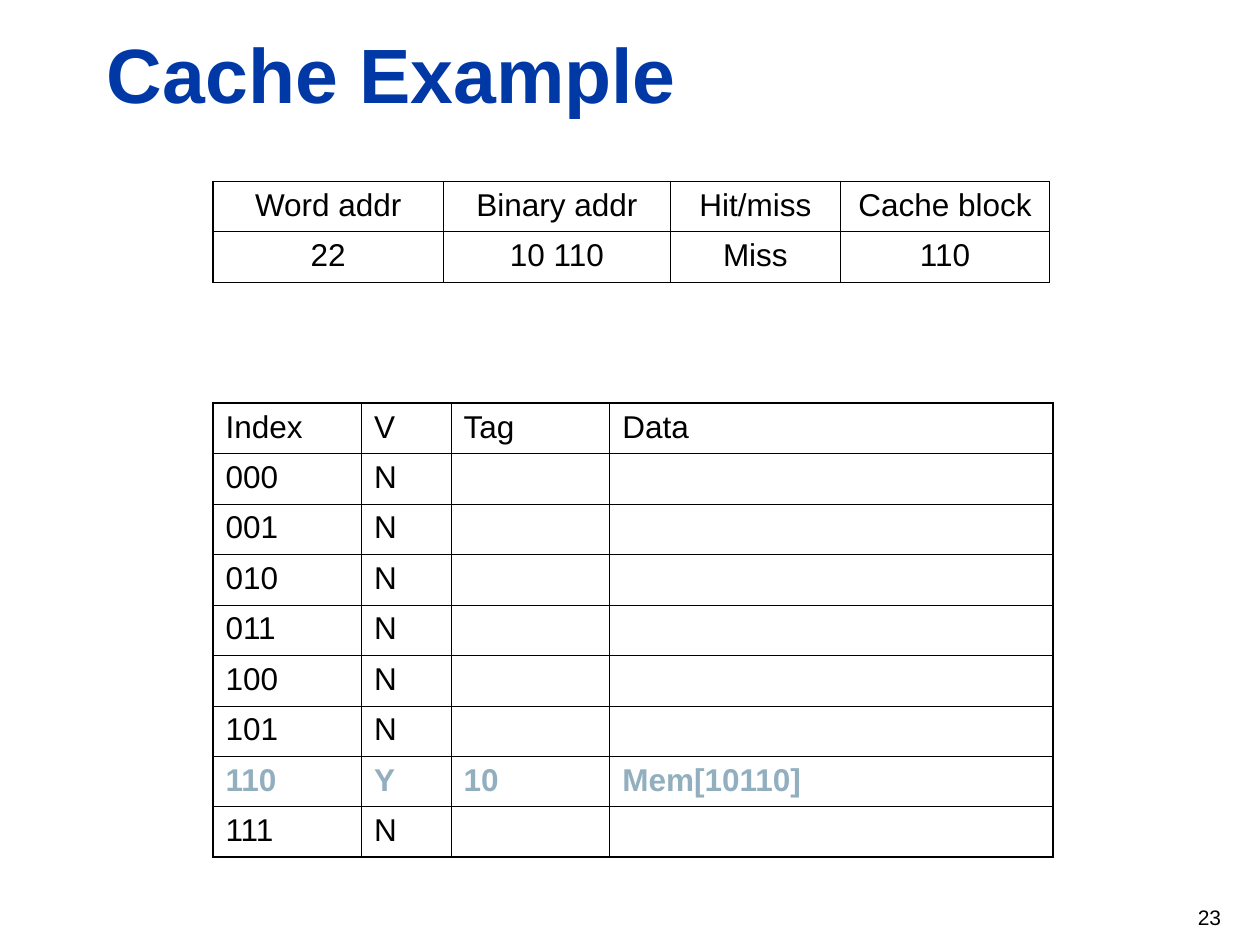
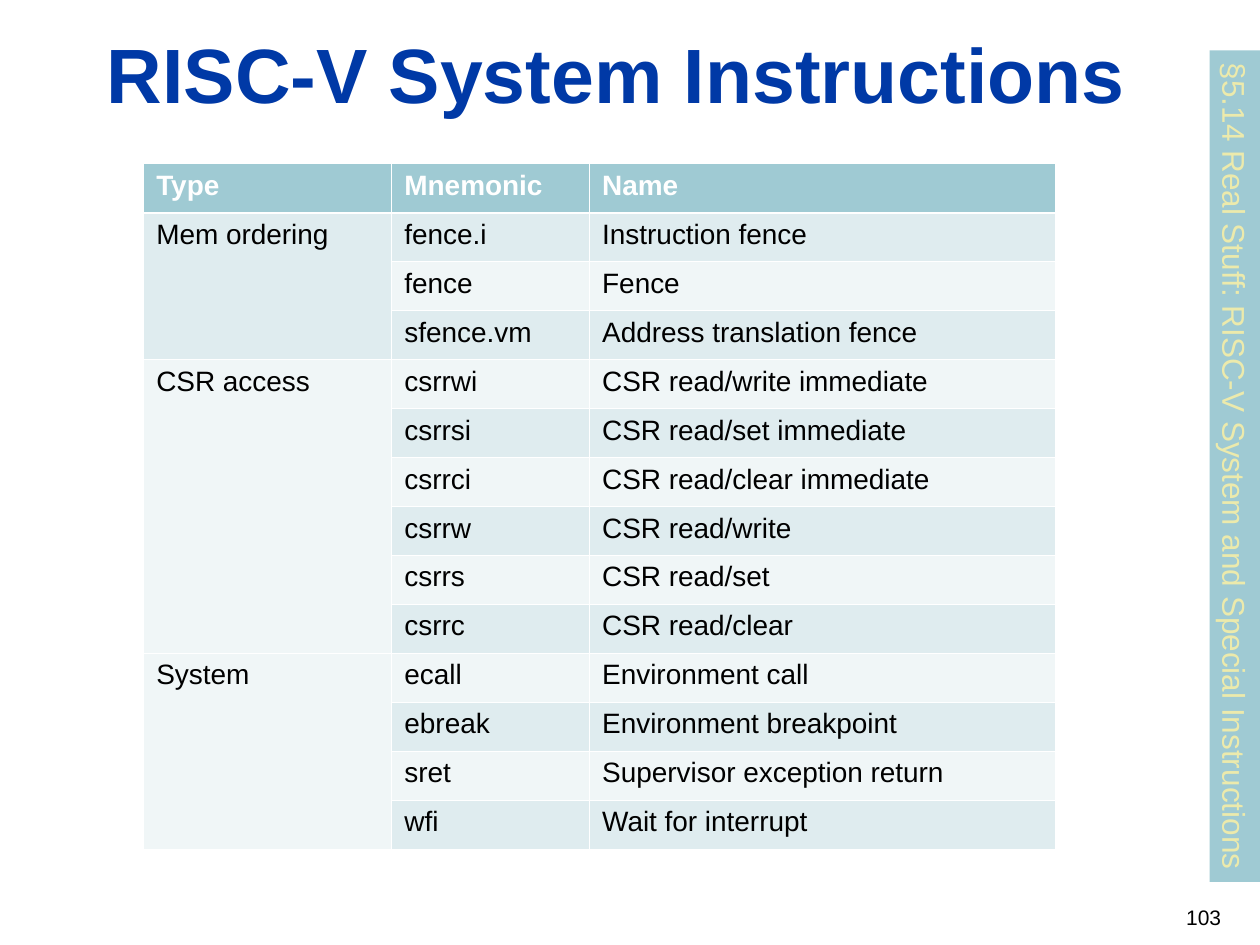
from dataclasses import dataclass

from lxml.etree import SubElement
from pptx import Presentation
from pptx.dml.color import RGBColor
from pptx.enum.shapes import MSO_SHAPE
from pptx.enum.text import MSO_ANCHOR, PP_ALIGN
from pptx.oxml.ns import qn
from pptx.util import Inches, Pt

FONT = "Arial"
COLORS = {
    "title": "0039A6",
    "text": "000000",
    "white": "FFFFFF",
    "highlight": "91AFBF",
    "band": "9FCAD3",
    "band_text": "ECEAAC",
    "row_dark": "DFECEF",
    "row_light": "F0F6F7",
}
GRID = Inches(0.1)  # the slide is 100 columns by 75 rows
THIN, RULE, FRAME, HEADER_RULE = 0.45, 0.75, 1.08, 1.47


@dataclass(frozen=True)
class Box:
    col: float
    row: float
    cols: float
    rows: float

    def emu(self) -> list[int]:
        return [round(n * GRID) for n in (self.col, self.row, self.cols, self.rows)]


@dataclass(frozen=True)
class TextStyle:
    size: float
    color: str = "text"
    bold: bool = False
    align: PP_ALIGN = PP_ALIGN.LEFT
    before: float = 0


@dataclass(frozen=True)
class Grid:
    """A table's top left corner, column widths and row height."""
    col: float
    row: float
    widths: tuple[float, ...]
    height: float


TITLE_BOX = Box(7.5, 1.6, 90.3, 8.3)
NUMBER_BOX = Box(75.4, 70.8, 22.5, 4)
SECTION_BOX = Box(65, 35, 66, 4)  # before its quarter turn

TITLE = TextStyle(44, "title", bold=True)
NUMBER = TextStyle(12, align=PP_ALIGN.RIGHT)
SECTION = TextStyle(18, "band_text")
ENTRY = TextStyle(18, before=4.5)
CENTERED = TextStyle(18, align=PP_ALIGN.CENTER, before=4.5)
FILLED = TextStyle(18, "highlight", bold=True, before=4.5)
HEADER = TextStyle(16, "white", bold=True)
BODY = TextStyle(16)

ACCESS_GRID = Grid(16.9, 14.4, (18.3, 18, 13.5, 16.6), 4)
CACHE_GRID = Grid(16.9, 32, (11.8, 7.1, 12.6, 35.2), 4)
INSTRUCTION_GRID = Grid(11.4, 13, (19.7, 15.7, 37), 3.886)

ACCESS = [
    ("Word addr", "Binary addr", "Hit/miss", "Cache block"),
    ("22", "10 110", "Miss", "110"),
]
CACHED = {"110": ("10", "Mem[10110]")}
INSTRUCTIONS = {
    "Mem ordering": [
        ("fence.i", "Instruction fence"),
        ("fence", "Fence"),
        ("sfence.vm", "Address translation fence"),
    ],
    "CSR access": [
        ("csrrwi", "CSR read/write immediate"),
        ("csrrsi", "CSR read/set immediate"),
        ("csrrci", "CSR read/clear immediate"),
        ("csrrw", "CSR read/write"),
        ("csrrs", "CSR read/set"),
        ("csrrc", "CSR read/clear"),
    ],
    "System": [
        ("ecall", "Environment call"),
        ("ebreak", "Environment breakpoint"),
        ("sret", "Supervisor exception return"),
        ("wfi", "Wait for interrupt"),
    ],
}


def rgb(name: str) -> RGBColor:
    return RGBColor.from_string(COLORS[name])


def write(tf, text: str, style: TextStyle) -> None:
    p = tf.paragraphs[0]
    p.text = text
    p.alignment = style.align
    p.space_before = Pt(style.before)
    p.font.name, p.font.size, p.font.bold = FONT, Pt(style.size), style.bold
    p.font.color.rgb = rgb(style.color)


def add_text(s, box: Box, text: str, style: TextStyle, anchor: MSO_ANCHOR) -> None:
    tf = s.shapes.add_textbox(*box.emu()).text_frame
    tf.word_wrap = True
    tf.vertical_anchor = anchor
    write(tf, text, style)


def add_slide(prs, title: str, number: int):
    s = prs.slides.add_slide(prs.slide_layouts[6])
    add_text(s, TITLE_BOX, title, TITLE, MSO_ANCHOR.BOTTOM)
    add_text(s, NUMBER_BOX, str(number), NUMBER, MSO_ANCHOR.MIDDLE)
    return s


def add_section_band(s, text: str) -> None:
    sp = s.shapes.add_shape(MSO_SHAPE.RECTANGLE, *SECTION_BOX.emu())
    sp.rotation = 90
    sp.shadow.inherit = False
    sp.fill.solid()
    sp.fill.fore_color.rgb = rgb("band")
    sp.line.fill.background()
    tf = sp.text_frame
    tf.word_wrap = False
    tf.vertical_anchor = MSO_ANCHOR.TOP
    write(tf, text, SECTION)


def add_grid(s, grid: Grid, count: int):
    """Add a plain table with the grid's columns and `count` rows."""
    box = Box(grid.col, grid.row, sum(grid.widths), grid.height * count)
    table = s.shapes.add_table(count, len(grid.widths), *box.emu()).table
    table.first_row = table.horz_banding = False
    for column, width in zip(table.columns, grid.widths):
        column.width = round(width * GRID)
    for row in table.rows:
        row.height = round(grid.height * GRID)
    return table


def set_borders(cell, color: str, left: float, right: float, top: float, bottom: float) -> None:
    tcPr = cell._tc.get_or_add_tcPr()
    sides = zip(("lnL", "lnR", "lnT", "lnB"), (left, right, top, bottom))
    for i, (tag, width) in enumerate(sides):
        ln = SubElement(tcPr, qn(f"a:{tag}"), w=str(Pt(width)))
        fill = SubElement(ln, qn("a:solidFill"))
        SubElement(fill, qn("a:srgbClr"), val=COLORS[color])
        tcPr.insert(i, ln)


def add_framed_table(s, grid: Grid, rows: list, styles: list[TextStyle]) -> None:
    """Add a table with a heavy frame, thin lines and a rule below its first row."""
    table = add_grid(s, grid, len(rows))
    last_row, last_col = len(rows) - 1, len(grid.widths) - 1
    levels = [FRAME, RULE] + [THIN] * (last_row - 1) + [FRAME]
    for r, (texts, style) in enumerate(zip(rows, styles)):
        for c, text in enumerate(texts):
            cell = table.cell(r, c)
            write(cell.text_frame, text, style)
            set_borders(cell, "text", FRAME if c == 0 else THIN,
                        FRAME if c == last_col else THIN, levels[r], levels[r + 1])
            cell.fill.background()


def add_instruction_table(s) -> None:
    rows = [("Type", "Mnemonic", "Name")]
    groups = []
    for kind, members in INSTRUCTIONS.items():
        groups.append((len(rows), len(members)))
        rows += [(kind if i == 0 else "", *member) for i, member in enumerate(members)]
    table = add_grid(s, INSTRUCTION_GRID, len(rows))
    for r, texts in enumerate(rows):
        fill = "band" if r == 0 else "row_dark" if r % 2 else "row_light"
        for c, text in enumerate(texts):
            cell = table.cell(r, c)
            write(cell.text_frame, text, BODY if r else HEADER)
            set_borders(cell, "white", THIN, THIN, HEADER_RULE if r == 1 else THIN,
                        HEADER_RULE if r == 0 else THIN)
            cell.fill.solid()
            cell.fill.fore_color.rgb = rgb(fill)
    for start, count in groups:
        table.cell(start, 0).merge(table.cell(start + count - 1, 0))


def cache_slide(prs) -> None:
    s = add_slide(prs, "Cache Example", 23)
    rows, styles = [("Index", "V", "Tag", "Data")], [ENTRY]
    for index in (f"{i:03b}" for i in range(8)):
        valid = index in CACHED
        rows.append((index, "Y" if valid else "N", *CACHED.get(index, ("", ""))))
        styles.append(FILLED if valid else ENTRY)
    add_framed_table(s, CACHE_GRID, rows, styles)
    add_framed_table(s, ACCESS_GRID, ACCESS, [CENTERED] * len(ACCESS))


def instruction_slide(prs) -> None:
    s = add_slide(prs, "RISC-V System Instructions", 103)
    add_section_band(s, "§5.14 Real Stuff: RISC-V System and Special Instructions")
    add_instruction_table(s)


def main() -> None:
    prs = Presentation()
    prs.slide_width, prs.slide_height = 100 * GRID, 75 * GRID
    cache_slide(prs)
    instruction_slide(prs)
    prs.save("out.pptx")


if __name__ == "__main__":
    main()
